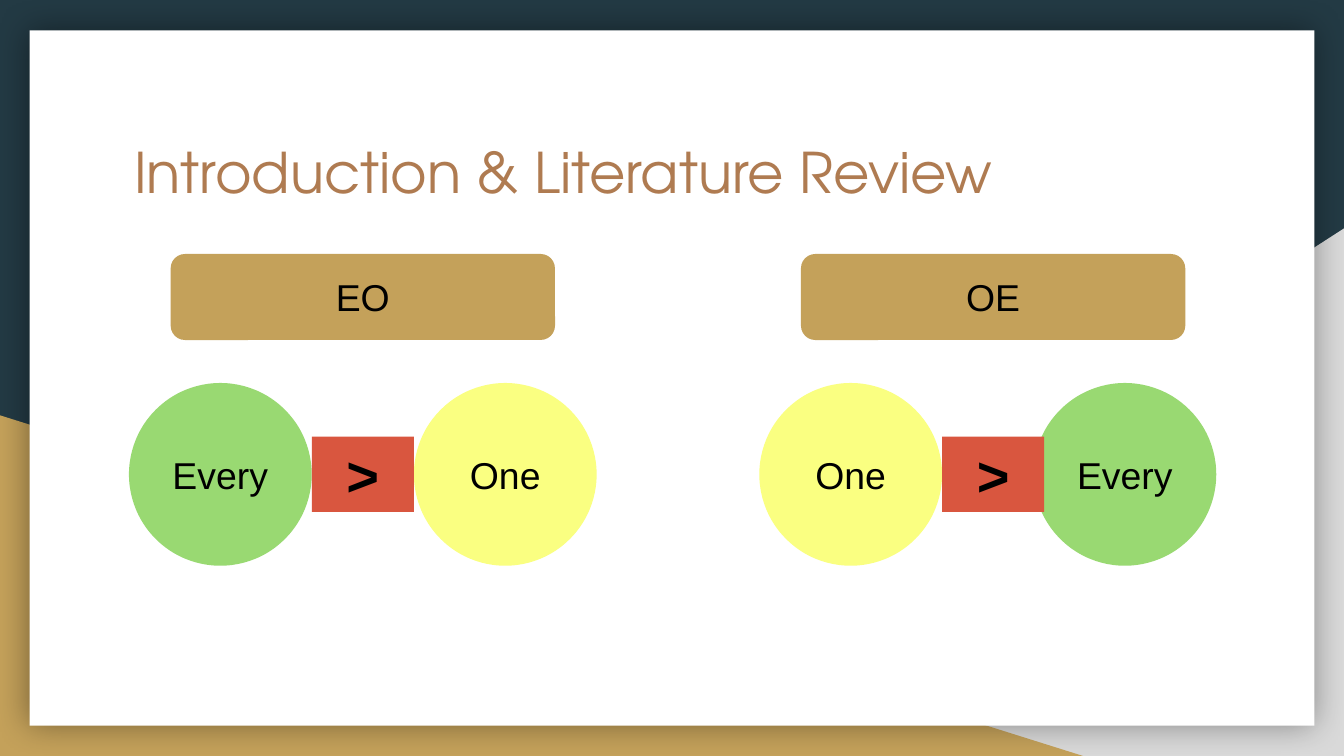
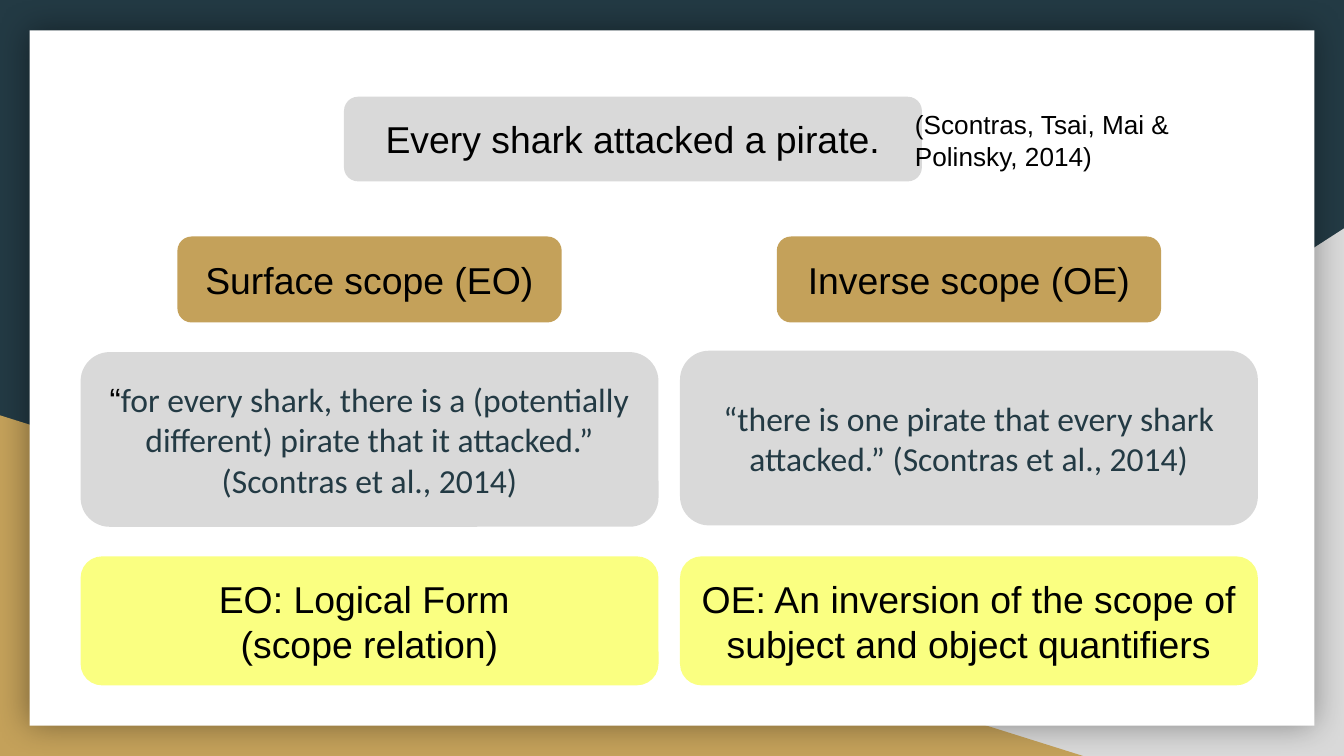
from typing import NamedTuple, Optional

from lxml import etree
from pptx import Presentation
from pptx.dml.color import RGBColor
from pptx.enum.shapes import MSO_SHAPE
from pptx.enum.text import MSO_ANCHOR, PP_ALIGN
from pptx.oxml.ns import qn
from pptx.util import Inches, Pt

TRIANGLE = MSO_SHAPE.RIGHT_TRIANGLE
RECTANGLE = MSO_SHAPE.RECTANGLE
ROUNDED = MSO_SHAPE.ROUNDED_RECTANGLE
CIRCLE = MSO_SHAPE.OVAL
TOP, MIDDLE = MSO_ANCHOR.TOP, MSO_ANCHOR.MIDDLE
LEFT, CENTER = PP_ALIGN.LEFT, PP_ALIGN.CENTER

COLORS = {
    "navy": "233A44",
    "gray": "D9D9D9",
    "gold": "C4A15A",
    "white": "FFFFFF",
    "bronze": "AF7B51",
    "green": "99D972",
    "yellow": "FAFF81",
    "red": "D9563F",
    "black": "000000",
}

# The slide is a grid of 100 columns by 56.25 rows of square cells.
SLIDE_WIDTH, SLIDE_HEIGHT = Inches(10), Inches(5.625)
CELL = SLIDE_WIDTH / 100
INSET = Inches(0.1)


class Area(NamedTuple):
    """A place on the grid, in columns and rows."""
    col: float
    row: float
    cols: float
    rows: float


class Style(NamedTuple):
    size: int
    face: str = "Arial"
    color: str = "black"
    bold: bool = False


class Span(NamedTuple):
    text: str
    style: Style


class ScopeOrder(NamedTuple):
    """Two quantifiers, the wider one first."""
    label: str
    col: float
    quantifiers: tuple[str, str]
    second_offset: float


class Reading(NamedTuple):
    label: str
    col: float
    quote_row: float
    quote: tuple[Span, ...]
    summary: str


TITLE = Style(30, "TeX Gyre Adventor", "bronze")
LABEL = Style(20)
SIGN = Style(30, bold=True)
CITATION = Style(14)
QUOTE = Style(18, "Calibri", "navy")
QUOTE_MARK = Style(18)

HEADER_COLS, HEADER_ROWS = 28.6, 6.4
PANEL_COLS = 43
CIRCLE_SIZE = 13.6
QUANTIFIER_COLORS = {"Every": "green", "One": "yellow"}

SCOPE_ORDERS = (
    ScopeOrder("EO", 9.6, ("Every", "One"), 21.2),
    ScopeOrder("OE", 56.5, ("One", "Every"), 20.4),
)
READINGS = (
    Reading(
        "Surface scope (EO)", 6, 26.2,
        (Span("“", QUOTE_MARK),
         Span("for every shark, there is a (potentially different) pirate "
              "that it attacked.” (Scontras et al., 2014)", QUOTE)),
        "EO: Logical Form \n(scope relation)",
    ),
    Reading(
        "Inverse scope (OE)", 50.6, 26.1,
        (Span("“there is one pirate that every shark attacked.” "
              "(Scontras et al., 2014)", QUOTE),),
        "OE: An inversion of the scope of subject and object quantifiers",
    ),
)


def rgb(name: str) -> RGBColor:
    return RGBColor.from_string(COLORS[name])


def place(area: Area) -> list[int]:
    return [round(length * CELL) for length in area]


def apply_style(font, style: Style) -> None:
    font.size, font.name, font.bold = Pt(style.size), style.face, style.bold
    font.color.rgb = rgb(style.color)


def write(holder, spans: tuple[Span, ...], anchor, align) -> None:
    frame = holder.text_frame
    frame.word_wrap = True
    frame.vertical_anchor = anchor
    frame.margin_left = frame.margin_right = INSET
    frame.margin_top = frame.margin_bottom = INSET
    paragraph = frame.paragraphs[0]
    paragraph.alignment = align
    if len(spans) == 1:
        paragraph.text = spans[0].text
        apply_style(paragraph.font, spans[0].style)
        return
    for span in spans:
        run = paragraph.add_run()
        run.text = span.text
        apply_style(run.font, span.style)


def add_block(slide, kind, area: Area, fill: str, *spans: Span):
    block = slide.shapes.add_shape(kind, *place(area))
    block.shadow.inherit = False
    block.fill.solid()
    block.fill.fore_color.rgb = rgb(fill)
    block.line.fill.background()
    if spans:
        write(block, spans, MIDDLE, CENTER)
    return block


def add_text(slide, area: Area, span: Span) -> None:
    write(slide.shapes.add_textbox(*place(area)), (span,), TOP, LEFT)


def add_glow(card) -> None:
    """Give the card a soft dark shadow on every side."""
    effects = card.element.spPr.find(qn("a:effectLst"))
    shadow = etree.SubElement(effects, qn("a:outerShdw"),
                              blurRad=str(Pt(18)), dist="0", dir="0",
                              algn="ctr", rotWithShape="0")
    color = etree.SubElement(shadow, qn("a:srgbClr"), val=COLORS["black"])
    etree.SubElement(color, qn("a:alpha"), val="40000")


def add_framed_slide(deck, title: Optional[str] = None):
    """Add a slide with the corner wedges, the white card and its title."""
    slide = deck.slides.add_slide(deck.slide_layouts[6])
    slide.background.fill.solid()
    slide.background.fill.fore_color.rgb = rgb("navy")
    right_wedge = add_block(slide, TRIANGLE, Area(39.2, 17, 60.8, 39.25), "gray")
    right_wedge.element.spPr.find(qn("a:xfrm")).set("flipH", "1")
    add_block(slide, TRIANGLE, Area(0, 30.9, 80.6, 25.35), "gold")
    add_glow(add_block(slide, RECTANGLE, Area(2.2, 2.25, 95.6, 51.75), "white"))
    if title:
        add_text(slide, Area(9, 9.2, 82.1, 10.4), Span(title, TITLE))
    return slide


def add_header(slide, col: float, row: float, label: str) -> None:
    add_block(slide, ROUNDED, Area(col, row, HEADER_COLS, HEADER_ROWS),
              "gold", Span(label, LABEL))


def add_scope_order(slide, order: ScopeOrder) -> None:
    add_header(slide, order.col + 3.1, 18.9, order.label)
    for quantifier, offset in zip(order.quantifiers, (0, order.second_offset)):
        add_block(slide, CIRCLE,
                  Area(order.col + offset, 28.5, CIRCLE_SIZE, CIRCLE_SIZE),
                  QUANTIFIER_COLORS[quantifier], Span(quantifier, LABEL))
    add_block(slide, RECTANGLE, Area(order.col + CIRCLE_SIZE, 32.5, 7.6, 5.6),
              "red", Span(">", SIGN))


def add_reading(slide, reading: Reading) -> None:
    header_col = reading.col + (PANEL_COLS - HEADER_COLS) / 2
    add_header(slide, header_col, 17.6, reading.label)
    add_block(slide, ROUNDED, Area(reading.col, reading.quote_row, PANEL_COLS, 13),
              "gray", *reading.quote)
    add_block(slide, ROUNDED, Area(reading.col, 41.4, PANEL_COLS, 9.6),
              "yellow", Span(reading.summary, LABEL))


def build_introduction(deck) -> None:
    slide = add_framed_slide(deck, "Introduction & Literature Review")
    for order in SCOPE_ORDERS:
        add_scope_order(slide, order)


def build_readings(deck) -> None:
    slide = add_framed_slide(deck)
    add_block(slide, ROUNDED, Area(25.6, 7.2, PANEL_COLS, 6.3), "gray",
              Span("Every shark attacked a pirate.", LABEL))
    add_text(slide, Area(67.1, 7.1, 28.6, 6.4),
             Span("(Scontras, Tsai, Mai & Polinsky, 2014)", CITATION))
    for reading in READINGS:
        add_reading(slide, reading)


def main() -> None:
    deck = Presentation()
    deck.slide_width, deck.slide_height = SLIDE_WIDTH, SLIDE_HEIGHT
    build_introduction(deck)
    build_readings(deck)
    deck.save("out.pptx")


if __name__ == "__main__":
    main()
